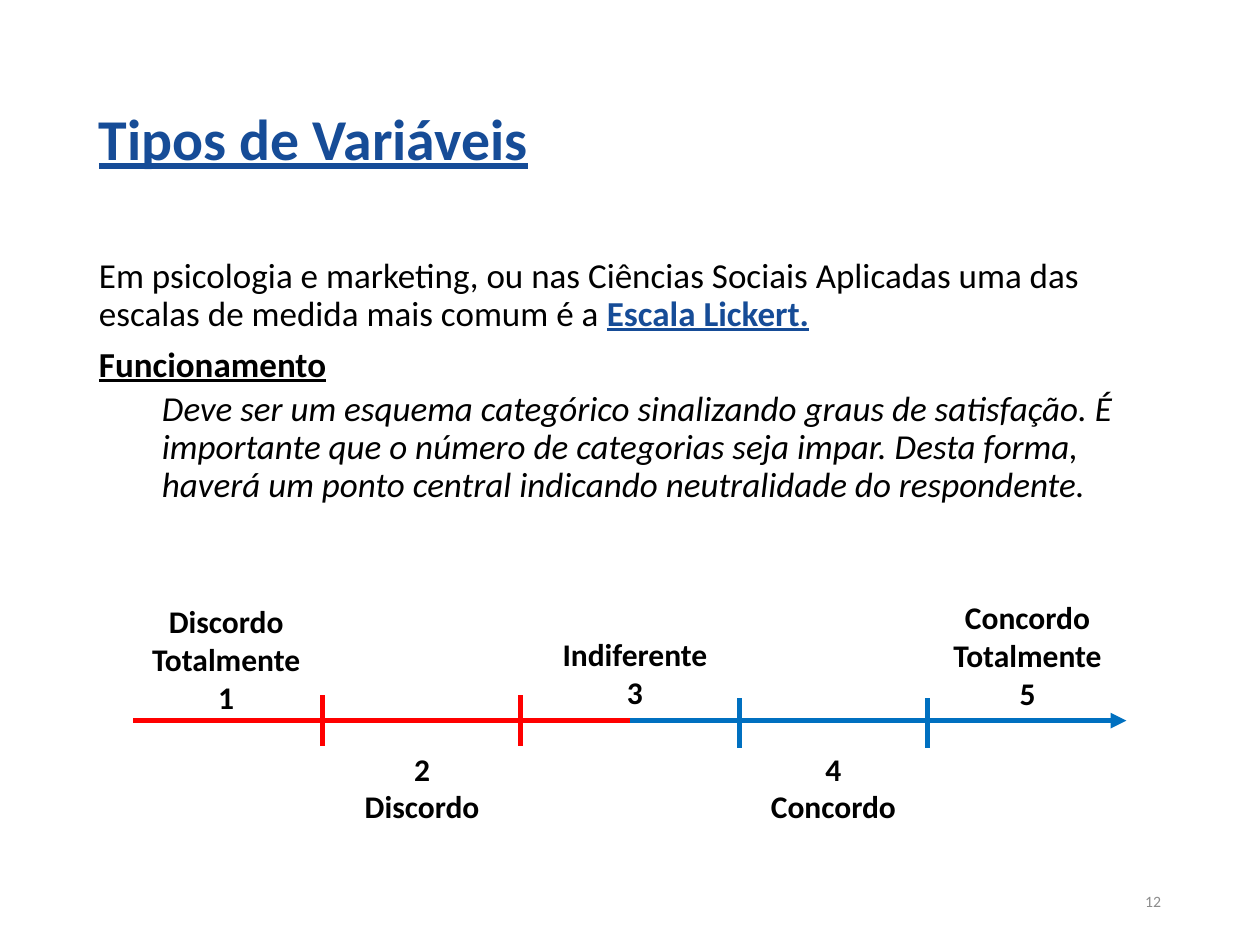
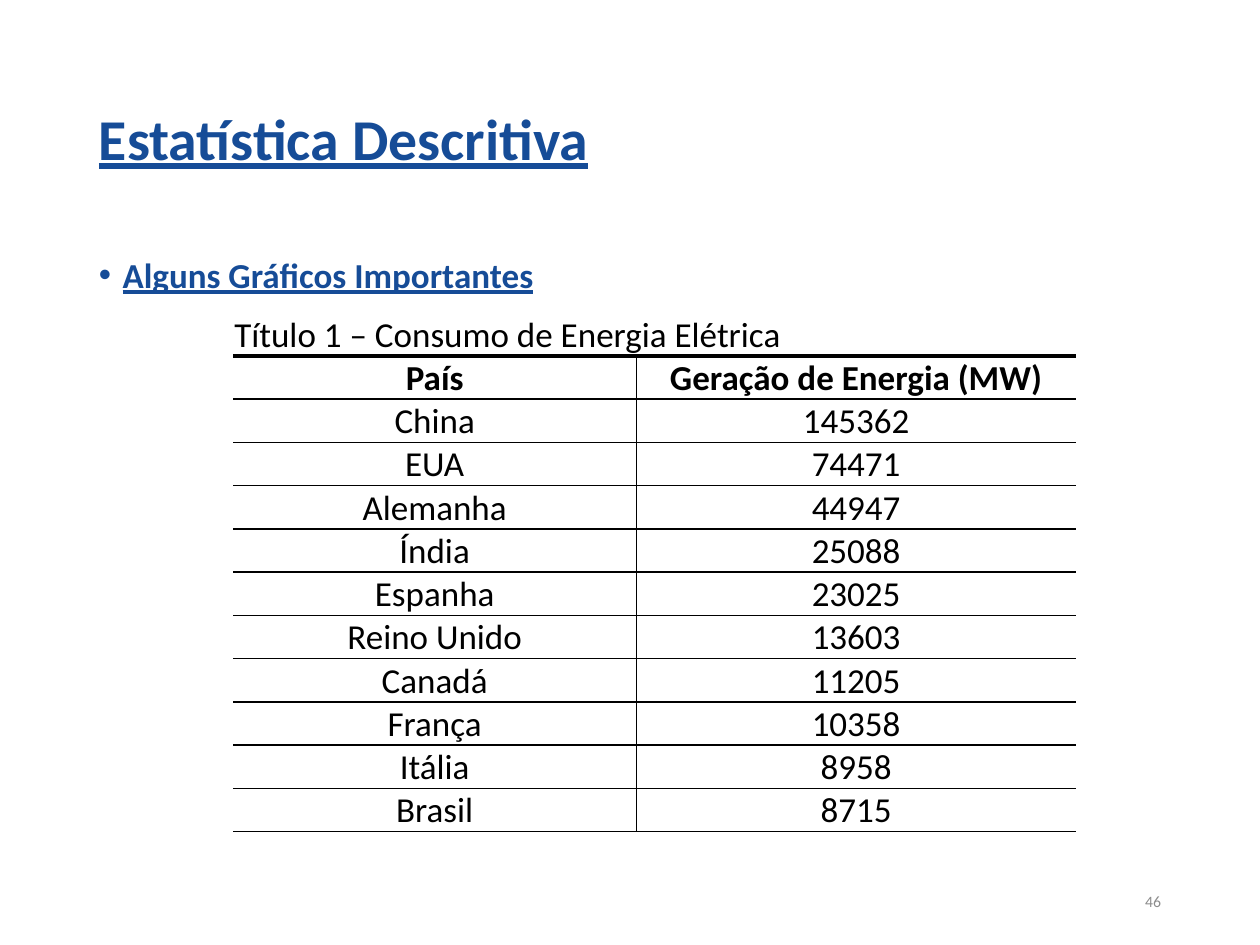
"""Build two statistics slides: a five-point scale and a table of energy generation."""
import pptx
import pptx.dml.color
import pptx.enum.shapes
import pptx.enum.text
import pptx.oxml.ns
import pptx.util
from lxml import etree
from dataclasses import dataclass

Pt = pptx.util.Pt
Align = pptx.enum.text.PP_ALIGN
Anchor = pptx.enum.text.MSO_ANCHOR


@dataclass(frozen=True)
class Theme:
    font: str = "Calibri"
    black: str = "000000"
    heading: str = "164C97"
    page_number: str = "8C8C8C"
    disagree: str = "FF0000"
    agree: str = "0070C0"
    title_size: int = 33
    body_size: int = 20
    label_size: int = 18
    number_size: int = 9
    rule: float = 1
    thick_rule: float = 2.25
    axis_rule: float = 3
    table_style: str = "{2D5ABB26-0587-4C30-8999-92F81FD0307C}"


THEME = Theme()
TITLE_AREA = (49.5, 28.8, 621, 104.4)
BODY_AREA = (49.5, 144, 621, 342.7)
NUMBER_AREA = (508.5, 500.5, 162, 28.8)

HEADING = {"bold": True, "underline": True, "color": THEME.heading}
BODY_SPACING = {"line_spacing": 0.9, "space_before": Pt(7.5)}
SUB_SPACING = {"line_spacing": 0.9, "space_before": Pt(3.8)}
CENTERED = {"alignment": Align.CENTER}

SCALE_TITLE, SCALE_PAGE = "Tipos de Variáveis", "12"
SCALE_BODY = [
    {"spans": [
        ("Em psicologia e marketing, ou nas Ciências Sociais Aplicadas uma das "
         "escalas de medida mais comum é a ", {}),
        ("Escala Lickert.", HEADING)], "format": BODY_SPACING},
    {"spans": [("Funcionamento", {"bold": True, "underline": True})], "format": BODY_SPACING},
    {"spans": [
        ("Deve ser um esquema categórico sinalizando graus de satisfação. É importante que "
         "o número de categorias seja impar. Desta forma, haverá um ponto central indicando "
         "neutralidade do respondente.", {"italic": True})],
     "format": SUB_SPACING, "left": 36},
]
AXIS_Y, AXIS_START, AXIS_MIDDLE, AXIS_END = 411.8, 76.3, 360, 643.7
TICK_HEIGHT = 28.8
TICKS = [(184.3, 397.4, THEME.disagree), (297.4, 397.4, THEME.disagree),
         (422.6, 398.9, THEME.agree), (529.9, 398.9, THEME.agree)]
SCALE_LABELS = [
    (("Discordo Totalmente", "1"), (72, 340.6, 114.5, 72.7)),
    (("2", "Discordo"), (200.9, 424.8, 80.6, 51.1)),
    (("Indiferente", "3"), (313.9, 359.3, 97.9, 51.1)),
    (("4", "Concordo"), (433.4, 424.8, 85.7, 51.1)),
    (("Concordo Totalmente", "5"), (529.9, 338.4, 114.5, 72.7)),
]

TABLE_TITLE, TABLE_PAGE = "Estatística Descritiva", "46"
TABLE_BODY = [{"spans": [("Alguns Gráficos Importantes", HEADING)],
               "format": BODY_SPACING, "left": 13.5, "bullet": "•"}]
TABLE_CAPTION = "Título 1 – Consumo de Energia Elétrica"
TABLE_HEADER = ("País", "Geração de Energia (MW)")
GENERATION = [
    ("China", 145362), ("EUA", 74471), ("Alemanha", 44947), ("Índia", 25088),
    ("Espanha", 23025), ("Reino Unido", 13603), ("Canadá", 11205),
    ("França", 10358), ("Itália", 8958), ("Brasil", 8715),
]
TABLE_LEFT, TABLE_TOP, ROW_HEIGHT = 133.2, 178.6, 24.7
COLUMN_WIDTHS = (230.4, 251.3)


def set_all(target, values):
    for name, value in values.items():
        setattr(target, name, value)


def rgb(color):
    return pptx.dml.color.RGBColor.from_string(color)


def add_element(parent, tag, **attributes):
    return etree.SubElement(parent, pptx.oxml.ns.qn(tag), attributes)


def write_span(para, text, size, color=THEME.black, **style):
    span = para.add_run()
    span.text = text
    set_all(span.font, {"name": THEME.font, "size": Pt(size), **style})
    span.font.color.rgb = rgb(color)


def write_paragraphs(frame, paragraphs, size):
    for index, content in enumerate(paragraphs):
        para = frame.add_paragraph() if index else frame.paragraphs[0]
        set_all(para, content.get("format", {}))
        for text, style in content["spans"]:
            write_span(para, text, size, **style)
        left, bullet = content.get("left", 0), content.get("bullet")
        properties = para._p.get_or_add_pPr()
        properties.set("marL", str(Pt(left)))
        properties.set("indent", str(Pt(-left if bullet else 0)))
        if bullet:
            add_element(properties, "a:buFont", typeface="Arial")
            add_element(properties, "a:buChar", char=bullet)


def add_text(page, area, paragraphs, size, anchor=Anchor.TOP, wrap=True):
    box = page.shapes.add_textbox(*map(Pt, area))
    set_all(box.text_frame, {"word_wrap": wrap, "vertical_anchor": anchor})
    write_paragraphs(box.text_frame, paragraphs, size)


def add_page(deck, title, body, number):
    page = deck.slides.add_slide(deck.slide_layouts[6])
    add_text(page, BODY_AREA, body, THEME.body_size)
    add_text(page, NUMBER_AREA,
             [{"spans": [(number, {"color": THEME.page_number})],
               "format": {"alignment": Align.RIGHT}}], THEME.number_size, Anchor.MIDDLE)
    add_text(page, TITLE_AREA,
             [{"spans": [(title, HEADING)], "format": {"line_spacing": 0.9}}],
             THEME.title_size, Anchor.MIDDLE)
    return page


def add_line(page, start, end, color, arrow=False):
    line = page.shapes.add_connector(
        pptx.enum.shapes.MSO_CONNECTOR.STRAIGHT, *map(Pt, (*start, *end)))
    line.line.color.rgb = rgb(color)
    line.line.width = Pt(THEME.axis_rule)
    if arrow:
        add_element(line.line._get_or_add_ln(), "a:tailEnd", type="triangle")
    add_element(line._element.spPr, "a:effectLst")


def add_scale(page):
    middle = (AXIS_MIDDLE, AXIS_Y)
    add_line(page, middle, (AXIS_END, AXIS_Y), THEME.agree, arrow=True)
    add_line(page, (AXIS_START, AXIS_Y), middle, THEME.disagree)
    for x, top, color in TICKS:
        add_line(page, (x, top), (x, top + TICK_HEIGHT), color)
    for lines, area in SCALE_LABELS:
        paragraphs = [{"spans": [(line, {"bold": True})], "format": CENTERED} for line in lines]
        add_text(page, area, paragraphs, THEME.label_size, wrap=" " in lines[0])


def set_borders(cell, widths):
    properties = cell._tc.get_or_add_tcPr()
    for side in ("L", "R", "T", "B"):
        if side in widths:
            border = add_element(properties, f"a:ln{side}", w=str(Pt(widths[side])))
            add_element(add_element(border, "a:solidFill"), "a:srgbClr", val=THEME.black)


def fill_cell(cell, text, borders, anchor=Anchor.BOTTOM, bold=False, style=CENTERED):
    set_all(cell, {"margin_left": Pt(0.7), "margin_right": Pt(0.7), "margin_top": Pt(0.7),
                   "margin_bottom": 0, "vertical_anchor": anchor})
    write_paragraphs(cell.text_frame,
                     [{"spans": [(text, {"bold": bold})], "format": style}], THEME.body_size)
    set_borders(cell, borders)
    cell.fill.background()


def add_generation_table(page):
    rows = [TABLE_HEADER, *GENERATION]
    count = len(rows) + 1
    table = page.shapes.add_table(count, len(COLUMN_WIDTHS), *map(Pt, (
        TABLE_LEFT, TABLE_TOP, sum(COLUMN_WIDTHS), ROW_HEIGHT * count))).table
    set_all(table, {"first_row": False, "horz_banding": False})
    table._tbl.tblPr.find(pptx.oxml.ns.qn("a:tableStyleId")).text = THEME.table_style
    for column, width in zip(table.columns, COLUMN_WIDTHS):
        column.width = Pt(width)
    for row in table.rows:
        row.height = Pt(ROW_HEIGHT)

    caption = table.cell(0, 0)
    caption.merge(table.cell(0, 1))
    fill_cell(caption, TABLE_CAPTION, {"B": THEME.thick_rule}, Anchor.MIDDLE, style={})
    set_borders(table.cell(0, 1), {"B": THEME.thick_rule})
    for row_index, values in enumerate(rows, 1):
        is_header = row_index == 1
        for column_index, value in enumerate(values):
            borders = {"T": THEME.thick_rule if is_header else THEME.rule, "B": THEME.rule,
                       "L" if column_index else "R": THEME.rule}
            fill_cell(table.cell(row_index, column_index), str(value), borders, bold=is_header)


def main():
    deck = pptx.Presentation()
    set_all(deck, {"slide_width": Pt(720), "slide_height": Pt(540)})
    add_scale(add_page(deck, SCALE_TITLE, SCALE_BODY, SCALE_PAGE))
    add_generation_table(add_page(deck, TABLE_TITLE, TABLE_BODY, TABLE_PAGE))
    deck.save("out.pptx")


if __name__ == "__main__":
    main()
